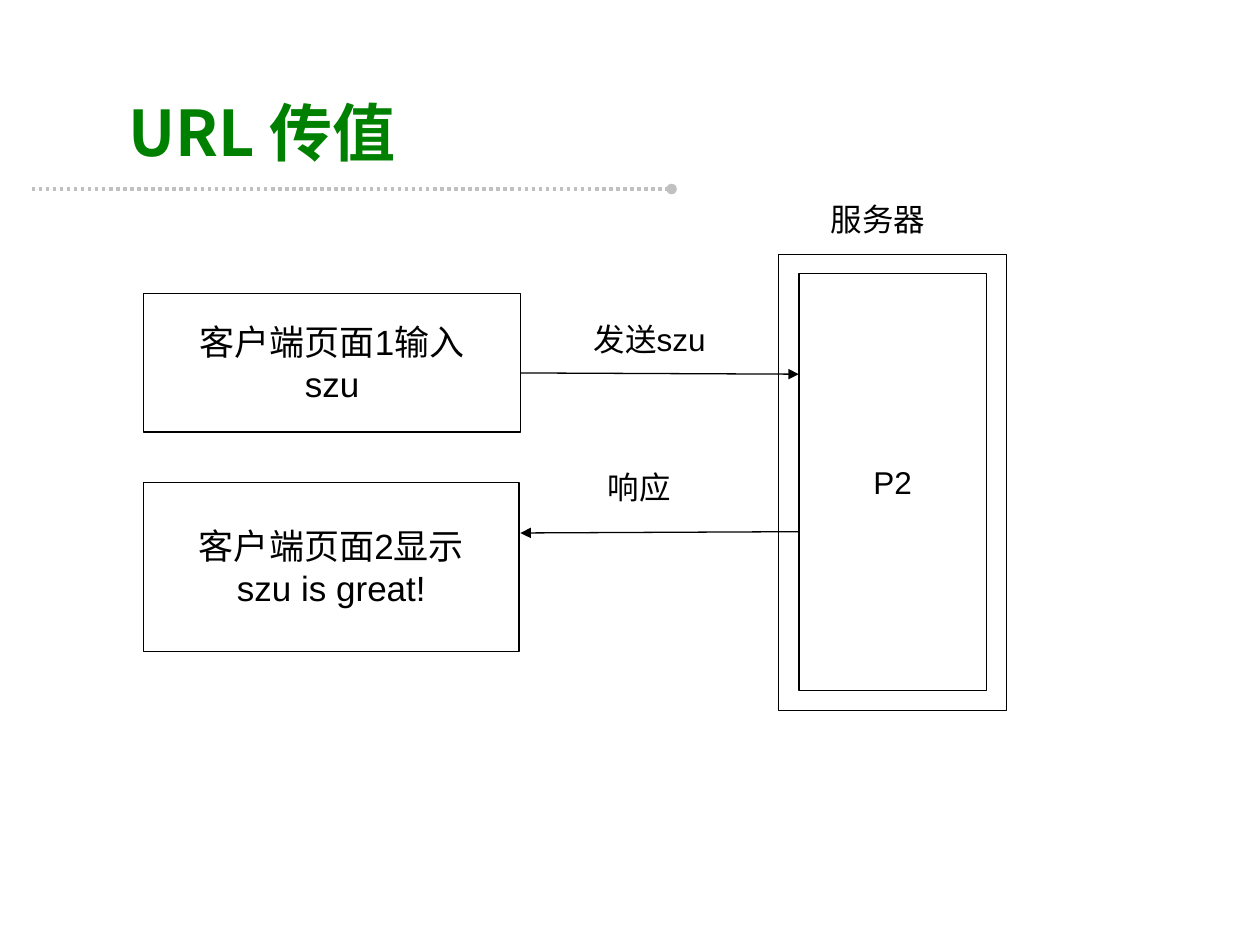
"""Build a slide showing how a value travels by URL between client pages and a server."""
from typing import NamedTuple

from lxml import etree
from pptx import Presentation
from pptx.dml.color import RGBColor
from pptx.enum import dml, shapes, text
from pptx.oxml.ns import qn
from pptx.util import Inches, Pt

COLORS = {"paper": "FFFFFF", "ink": "000000", "heading": "008000", "rule": "C0C0C0"}
LATIN_FONT = "Arial"
CJK_FONT = "Noto Sans CJK SC"


class Area(NamedTuple):
    left: float
    top: float
    width: float
    height: float


class Box(NamedTuple):
    area: Area
    lines: tuple[str, ...] = ()
    size: float = 20


class Label(NamedTuple):
    area: Area
    wording: str
    size: float = 18


class Link(NamedTuple):
    start: tuple[float, float]
    end: tuple[float, float]
    color: str = "ink"
    weight: float = 0.75
    tip: str = "triangle"
    dotted: bool = False


HEADING = Label(Area(0.92, 0.67, 7.23, 0.75), "URL 传值", 36)
BOXES = (
    Box(Area(1.14, 2.33, 2.99, 1.1), ("客户端页面1输入", "szu")),
    Box(Area(1.14, 3.83, 2.98, 1.34), ("客户端页面2显示", "szu is great!")),
    Box(Area(6.18, 2.02, 1.81, 3.62)),
    Box(Area(6.34, 2.17, 1.49, 3.31), ("P2",), 18),
)
LABELS = (
    Label(Area(4.21, 2.49, 1.89, 0.4), "发送szu"),
    Label(Area(4.29, 3.67, 1.57, 0.39), "响应"),
    Label(Area(6.42, 1.54, 1.1, 0.39), "服务器"),
)
HEADING_RULE = Link((0.25, 1.5), (5.33, 1.5), "rule", 2, "oval", True)
MESSAGES = (
    Link((4.13, 2.96), (6.34, 2.97)),
    Link((6.34, 4.22), (4.13, 4.23)),
)


def rgb(name: str) -> RGBColor:
    """Look up a palette colour."""
    return RGBColor.from_string(COLORS[name])


def inches(area: Area) -> list[int]:
    """Convert an area to lengths."""
    return [Inches(value) for value in area]


def write(frame, lines: tuple[str, ...], size: float, color: str = "ink",
          latin: str = LATIN_FONT, bold: bool = False,
          align=text.PP_ALIGN.CENTER) -> None:
    """Fill a text frame with one paragraph per line."""
    frame.vertical_anchor = text.MSO_ANCHOR.MIDDLE
    for index, wording in enumerate(lines):
        paragraph = frame.add_paragraph() if index else frame.paragraphs[0]
        paragraph.alignment = align
        run = paragraph.add_run()
        run.text = wording
        run.font.size = Pt(size)
        run.font.bold = bold
        run.font.color.rgb = rgb(color)
        run.font.name = latin
        etree.SubElement(run.font._element, qn("a:ea"), typeface=CJK_FONT)


def draw_heading(slide, heading: Label) -> None:
    """Place and fill the title placeholder."""
    title = slide.shapes.title
    title.left, title.top, title.width, title.height = inches(heading.area)
    write(title.text_frame, (heading.wording,), heading.size, "heading",
          CJK_FONT, True, text.PP_ALIGN.LEFT)


def draw_box(slide, box: Box) -> None:
    """Draw an outlined rectangle with its centred lines."""
    panel = slide.shapes.add_shape(shapes.MSO_SHAPE.RECTANGLE, *inches(box.area))
    panel.shadow.inherit = False
    panel.fill.solid()
    panel.fill.fore_color.rgb = rgb("paper")
    panel.line.color.rgb = rgb("ink")
    panel.line.width = Pt(0.75)
    panel.text_frame.word_wrap = False
    write(panel.text_frame, box.lines, box.size)


def draw_label(slide, label: Label) -> None:
    """Draw a centred caption."""
    caption = slide.shapes.add_textbox(*inches(label.area))
    caption.text_frame.word_wrap = True
    write(caption.text_frame, (label.wording,), label.size)


def draw_link(slide, link: Link) -> None:
    """Draw a straight line with a tip at its end."""
    ends = [Inches(value) for value in link.start + link.end]
    connector = slide.shapes.add_connector(shapes.MSO_CONNECTOR.STRAIGHT, *ends)
    connector.line.color.rgb = rgb(link.color)
    connector.line.width = Pt(link.weight)
    if link.dotted:
        connector.line.dash_style = dml.MSO_LINE.ROUND_DOT
    properties = connector.element.spPr
    etree.SubElement(properties.find(qn("a:ln")), qn("a:tailEnd"), type=link.tip)
    etree.SubElement(properties, qn("a:effectLst"))


def main() -> None:
    """Assemble and save the slide."""
    deck = Presentation()
    deck.slide_width, deck.slide_height = Inches(10), Inches(7.5)
    slide = deck.slides.add_slide(deck.slide_layouts.get_by_name("Title Only"))
    draw_heading(slide, HEADING)
    draw_link(slide, HEADING_RULE)
    for box in BOXES:
        draw_box(slide, box)
    for message in MESSAGES:
        draw_link(slide, message)
    for label in LABELS:
        draw_label(slide, label)
    deck.save("out.pptx")


if __name__ == "__main__":
    main()
